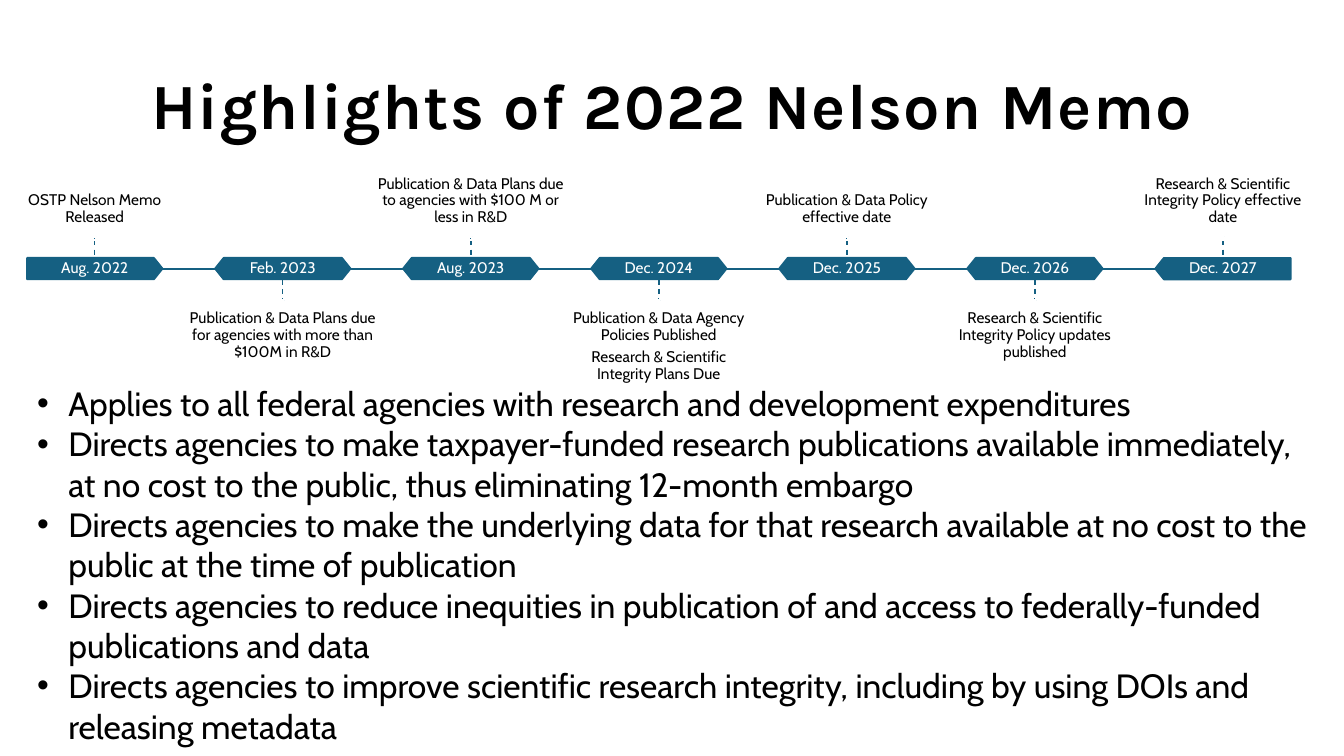
from lxml.etree import SubElement
from pptx import Presentation
from pptx.dml.color import RGBColor
from pptx.enum.dml import MSO_LINE
from pptx.enum.shapes import MSO_CONNECTOR, MSO_SHAPE
from pptx.enum.text import MSO_ANCHOR, PP_ALIGN
from pptx.oxml.ns import qn
from pptx.util import Inches, Pt

TITLE = "Highlights of 2022 Nelson Memo"
MILESTONES = [
    ("Aug. 2022", ["OSTP Nelson Memo Released"]),
    ("Feb. 2023", ["Publication & Data Plans due for agencies with more than $100M in R&D"]),
    ("Aug. 2023", ["Publication & Data Plans due to agencies with $100 M or less in R&D"]),
    ("Dec. 2024", ["Publication & Data Agency Policies Published",
                   "Research & Scientific Integrity Plans Due"]),
    ("Dec. 2025", ["Publication & Data Policy effective date"]),
    ("Dec. 2026", ["Research & Scientific Integrity Policy updates published"]),
    ("Dec. 2027", ["Research & Scientific Integrity Policy effective date"]),
]
BULLETS = [
    "Applies to all federal agencies with research and development expenditures",
    "Directs agencies to make taxpayer-funded research publications available immediately, "
    "at no cost to the public, thus eliminating 12-month embargo",
    "Directs agencies to make the underlying data for that research available at no cost "
    "to the public at the time of publication",
    "Directs agencies to reduce inequities in publication of and access to "
    "federally-funded publications and data",
    "Directs agencies to improve scientific research integrity, including by using DOIs "
    "and releasing metadata",
]

TEAL = RGBColor(0x15, 0x60, 0x82)
BLACK = RGBColor(0, 0, 0)
WHITE = RGBColor(255, 255, 255)

LEFT, STEP = 0.27, 1.865
MARKER_TOP, MARKER_WIDTH, MARKER_HEIGHT = 2.56, 1.34, 0.21
CAPTION_WIDTH, CAPTION_HEIGHT = 1.87, 0.55
STEM, DOT = 0.18, 0.03


def style_font(paragraph, name, size, color):
    paragraph.font.name = name
    paragraph.font.size = Pt(size)
    paragraph.font.color.rgb = color


def add_text(slide, box, lines, color, anchor, margins):
    frame = slide.shapes.add_textbox(*map(Inches, box)).text_frame
    frame.word_wrap = True
    frame.vertical_anchor = anchor
    frame.margin_left = frame.margin_right = Inches(margins[0])
    frame.margin_top = frame.margin_bottom = Inches(margins[1])
    frame.text = "\n".join(lines)
    for paragraph in frame.paragraphs:
        paragraph.alignment = PP_ALIGN.CENTER
        paragraph.line_spacing = 0.9
        paragraph.space_after = Pt(4)
        style_font(paragraph, "Cabin", 11, color)


def add_shape(slide, kind, box, line_color):
    shape = slide.shapes.add_shape(kind, *map(Inches, box))
    shape.shadow.inherit = False
    shape.fill.solid()
    shape.fill.fore_color.rgb = TEAL
    shape.line.color.rgb = line_color
    shape.line.width = Pt(1.5)
    return shape


def add_line(slide, start, end, width):
    connector = slide.shapes.add_connector(
        MSO_CONNECTOR.STRAIGHT, *map(Inches, (*start, *end)))
    connector.line.color.rgb = TEAL
    connector.line.width = Pt(width)
    SubElement(connector._element.spPr, qn("a:effectLst"))
    return connector


def add_milestone(slide, index, date, captions):
    last = len(MILESTONES) - 1
    left = LEFT + index * STEP
    center = left + MARKER_WIDTH / 2
    middle = MARKER_TOP + MARKER_HEIGHT / 2
    bottom = MARKER_TOP + MARKER_HEIGHT
    box = (left, MARKER_TOP, MARKER_WIDTH, MARKER_HEIGHT)

    kind = MSO_SHAPE.PENTAGON if index in (0, last) else MSO_SHAPE.HEXAGON
    marker = add_shape(slide, kind, box, TEAL)
    marker.adjustments[0] = 0.4
    if index == last:
        marker.rotation = 180
    add_text(slide, box, [date], WHITE, MSO_ANCHOR.MIDDLE, (0.09, 0.09))

    if index % 2 == 0:
        stem_start, stem_end = MARKER_TOP - STEM, MARKER_TOP
        dot_top, caption_top, anchor = stem_start - DOT, 1.8, MSO_ANCHOR.BOTTOM
    else:
        stem_start, stem_end = bottom, bottom + STEM
        dot_top, caption_top, anchor = stem_end, 2.97, MSO_ANCHOR.TOP
    caption_box = (center - CAPTION_WIDTH / 2, caption_top, CAPTION_WIDTH, CAPTION_HEIGHT)
    add_text(slide, caption_box, captions, BLACK, anchor, (0, 0.11))
    if index < last:
        add_line(slide, (left + MARKER_WIDTH, middle), (left + STEP, middle), 1.5)
    stem = add_line(slide, (center, stem_start), (center, stem_end), 1)
    stem.line.dash_style = MSO_LINE.DASH
    add_shape(slide, MSO_SHAPE.RECTANGLE, (center - DOT / 2, dot_top, DOT, DOT), WHITE)


def add_title(slide):
    title = slide.shapes.title
    title.left, title.top, title.width, title.height = map(Inches, (0.92, 0.35, 11.5, 1.45))
    title.text_frame.text = TITLE
    title.text_frame.vertical_anchor = MSO_ANCHOR.MIDDLE
    paragraph = title.text_frame.paragraphs[0]
    paragraph.alignment = PP_ALIGN.CENTER
    paragraph.line_spacing = 0.9
    style_font(paragraph, "Karla", 46, BLACK)
    paragraph.font.bold = True
    paragraph.runs[0].font._element.set("spc", "100")


def add_bullets(slide):
    frame = slide.shapes.add_textbox(*map(Inches, (0.27, 3.75, 12.8, 4.95))).text_frame
    frame.word_wrap = True
    frame.text = "\n".join(BULLETS)
    for paragraph in frame.paragraphs:
        properties = paragraph._p.get_or_add_pPr()
        properties.set("marL", str(Inches(0.31)))
        properties.set("indent", str(Inches(-0.31)))
        SubElement(properties, qn("a:buFont"), typeface="Arial")
        SubElement(properties, qn("a:buChar"), char="•")
        style_font(paragraph, "Cabin", 24, BLACK)


def main():
    presentation = Presentation()
    presentation.slide_width = Inches(13.33)
    presentation.slide_height = Inches(7.5)
    slide = presentation.slides.add_slide(presentation.slide_layouts[5])
    add_title(slide)
    add_bullets(slide)
    for index, (date, captions) in enumerate(MILESTONES):
        add_milestone(slide, index, date, captions)
    presentation.save("out.pptx")


if __name__ == "__main__":
    main()
